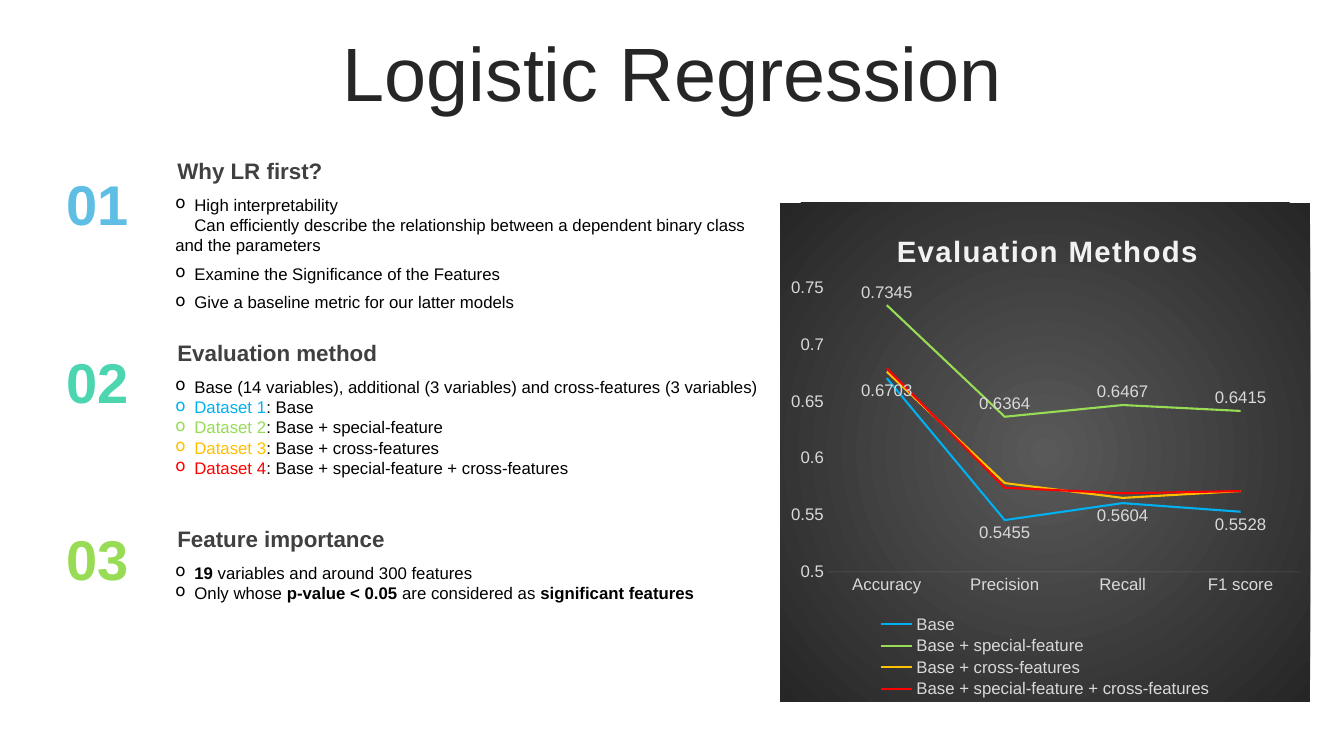
from pptx import Presentation
from pptx.chart.data import CategoryChartData
from pptx.dml.color import RGBColor
from pptx.enum.chart import XL_CHART_TYPE, XL_LABEL_POSITION, XL_LEGEND_POSITION, XL_TICK_MARK
from pptx.enum.text import MSO_ANCHOR, MSO_AUTO_SIZE, PP_ALIGN
from pptx.oxml import parse_xml
from pptx.oxml.ns import nsdecls, qn
from pptx.util import Cm, Pt

BLACK = RGBColor(0x00, 0x00, 0x00)
TITLE_GREY = RGBColor(0x26, 0x26, 0x26)
HEADING_GREY = RGBColor(0x40, 0x40, 0x40)
LIGHT_GREY = RGBColor(0xD9, 0xD9, 0xD9)
PALE = RGBColor(0xF2, 0xF2, 0xF2)
SKY = RGBColor(0x5E, 0xBE, 0xE4)
MINT = RGBColor(0x4C, 0xD6, 0xB0)
BLUE = RGBColor(0x00, 0xB0, 0xF0)
GREEN = RGBColor(0x98, 0xDC, 0x56)
AMBER = RGBColor(0xFF, 0xC0, 0x00)
RED = RGBColor(0xFF, 0x00, 0x00)

HANG = Cm(0.48)
PLAIN = {"color": BLACK}
BOLD = {"color": BLACK, "bold": True}

SECTIONS = [
    ("01", SKY, "Why LR first?", 3.84, 3.25, [
        ([("High interpretability", PLAIN)], {}),
        ([("Can efficiently describe the relationship between a dependent binary class "
           "and the parameters", PLAIN)], {"bullet": False}),
        ([("Examine the Significance of the Features", PLAIN)], {"before": 6}),
        ([("Give a baseline metric for our latter models", PLAIN)], {"before": 6}),
    ]),
    ("02", MINT, "Evaluation method", 8.43, 2.82, [
        ([("Base (14 variables), additional (3 variables) and cross-features (3 variables)",
           PLAIN)], {}),
        ([("Dataset 1", {"color": BLUE}), (": Base", PLAIN)], {}),
        ([("Dataset 2", {"color": GREEN}), (": Base + special-feature", PLAIN)], {}),
        ([("Dataset 3", {"color": AMBER}), (": Base + cross-features", PLAIN)], {}),
        ([("Dataset 4", {"color": RED}),
          (": Base + special-feature + cross-features", PLAIN)], {}),
    ]),
    ("03", GREEN, "Feature importance", 13.11, 1.27, [
        ([("19", BOLD), (" variables and around 300 features", PLAIN)], {}),
        ([("Only whose ", PLAIN), ("p-value < 0.05 ", BOLD),
          ("are considered as ", PLAIN), ("significant features", BOLD)], {}),
    ]),
]

METRICS = ["Accuracy", "Precision", "Recall", "F1 score"]
SERIES = [
    ("Base", BLUE, [0.6703, 0.5455, 0.5604, 0.5528], XL_LABEL_POSITION.BELOW),
    ("Base + special-feature", GREEN, [0.7345, 0.6364, 0.6467, 0.6415], XL_LABEL_POSITION.ABOVE),
    ("Base + cross-features", AMBER, [0.676, 0.578, 0.565, 0.571], None),
    ("Base + special-feature + cross-features", RED, [0.679, 0.574, 0.569, 0.571], None),
]


class SlideBuilder:
    font_name = "Arial"

    def __init__(self, deck):
        self.page = deck.slides.add_slide(deck.slide_layouts[5])

    def assign(self, target, values):
        for name, value in values.items():
            setattr(target, name, value)

    def style(self, font, size, color, bold=False):
        self.assign(font, {"name": self.font_name, "size": Pt(size), "bold": bold})
        font.color.rgb = color

    def title(self, text, left, top, width, height):
        box = self.page.shapes.title
        self.assign(box, {"left": Cm(left), "top": Cm(top),
                          "width": Cm(width), "height": Cm(height)})
        self.assign(box.text_frame, {"text": text, "vertical_anchor": MSO_ANCHOR.MIDDLE,
                                     "auto_size": MSO_AUTO_SIZE.NONE})
        para = box.text_frame.paragraphs[0]
        self.assign(para, {"alignment": PP_ALIGN.CENTER, "line_spacing": 0.9})
        self.style(para.runs[0].font, 54, TITLE_GREY)

    def frame(self, left, top, width, height):
        box = self.page.shapes.add_textbox(Cm(left), Cm(top), Cm(width), Cm(height))
        self.assign(box.text_frame, {"word_wrap": True,
                                     "auto_size": MSO_AUTO_SIZE.SHAPE_TO_FIT_TEXT})
        return box.text_frame

    def label(self, text, area, size, color, alignment=PP_ALIGN.LEFT):
        para = self.frame(*area).paragraphs[0]
        para.alignment = alignment
        span = para.add_run()
        span.text = text
        self.style(span.font, size, color, True)

    def bullets(self, items, area):
        frame = self.frame(*area)
        for index, (spans, options) in enumerate(items):
            para = frame.add_paragraph() if index else frame.paragraphs[0]
            properties = para._p.get_or_add_pPr()
            if options.get("bullet", True):
                properties.set("marL", str(HANG))
                properties.set("indent", str(-HANG))
                properties.append(parse_xml(f'<a:buChar {nsdecls("a")} char="o"/>'))
            else:
                properties.set("indent", str(HANG))
            if "before" in options:
                para.space_before = Pt(options["before"])
            for text, look in spans:
                span = para.add_run()
                span.text = text
                self.style(span.font, 12, **look)

    def place(self, parent, anchor, x, y, size=None, inner=False):
        for layout in parent.findall(qn("c:layout")):
            parent.remove(layout)
        target = '<c:layoutTarget val="inner"/>' if inner else ""
        modes = '<c:xMode val="edge"/><c:yMode val="edge"/>'
        extent = f'<c:w val="{size[0]}"/><c:h val="{size[1]}"/>' if size else ""
        layout = parse_xml(
            f'<c:layout {nsdecls("c")}><c:manualLayout>{target}{modes}'
            f'<c:x val="{x}"/><c:y val="{y}"/>{extent}</c:manualLayout></c:layout>')
        if anchor:
            parent.find(qn(anchor)).addnext(layout)
        else:
            parent.insert(0, layout)

    def chart(self, left, top, width, height):
        data = CategoryChartData()
        data.categories = METRICS
        for name, color, values, position in SERIES:
            data.add_series(name, values)
        chart = self.page.shapes.add_chart(
            XL_CHART_TYPE.LINE, Cm(left), Cm(top), Cm(width), Cm(height), data).chart
        self.style(chart.font, 12, LIGHT_GREY)
        self.chart_background(chart)
        self.chart_title(chart)
        self.chart_axes(chart)
        self.chart_series(chart.plots[0])
        chart.has_legend = True
        self.assign(chart.legend, {"position": XL_LEGEND_POSITION.BOTTOM,
                                   "include_in_layout": False})
        self.style(chart.legend.font, 12, LIGHT_GREY)
        self.place(chart.legend._element, "c:legendPos", 0.18, 0.82, (0.64, 0.18))
        plot_area = chart._chartSpace.chart.plotArea
        self.place(plot_area, None, 0.09, 0.17, (0.89, 0.57), inner=True)

    def chart_background(self, chart):
        chart._chartSpace.chart.addnext(parse_xml(
            f'<c:spPr {nsdecls("c", "a")}><a:gradFill><a:gsLst>'
            '<a:gs pos="0"><a:srgbClr val="595959"/></a:gs>'
            '<a:gs pos="100000"><a:srgbClr val="262626"/></a:gs></a:gsLst>'
            '<a:path path="circle"><a:fillToRect l="50000" t="50000" r="50000" b="50000"/>'
            '</a:path></a:gradFill><a:ln><a:noFill/></a:ln></c:spPr>'))

    def chart_title(self, chart):
        chart.has_title = True
        para = chart.chart_title.text_frame.paragraphs[0]
        span = para.add_run()
        span.text = "Evaluation Methods"
        self.style(span.font, 21, PALE, True)
        span.font._element.set("spc", "100")
        self.place(chart.chart_title._element, "c:tx", 0.21, 0.05)

    def chart_axes(self, chart):
        for axis in (chart.category_axis, chart.value_axis):
            self.assign(axis, {"has_major_gridlines": False,
                               "major_tick_mark": XL_TICK_MARK.NONE,
                               "minor_tick_mark": XL_TICK_MARK.NONE})
            self.style(axis.tick_labels.font, 12, LIGHT_GREY)
        self.assign(chart.value_axis, {"minimum_scale": 0.5, "maximum_scale": 0.75,
                                       "major_unit": 0.05})
        chart.value_axis.format.line.fill.background()
        line = chart.category_axis.format.line
        line.width = Pt(0.75)
        line.color.rgb = PALE
        shade = chart.category_axis._element.xpath("c:spPr//a:srgbClr")[0]
        shade.append(parse_xml(f'<a:alpha {nsdecls("a")} val="10000"/>'))

    def chart_series(self, plot):
        plot.vary_by_categories = False
        for series, (name, color, values, position) in zip(plot.series, SERIES):
            series.smooth = False
            series.format.line.width = Pt(1.5)
            series.format.line.color.rgb = color
            if position is not None:
                self.assign(series.data_labels, {"show_value": True, "position": position})
                self.style(series.data_labels.font, 12, LIGHT_GREY)


def main():
    deck = Presentation()
    deck.slide_width, deck.slide_height = Cm(33.87), Cm(19.05)
    builder = SlideBuilder(deck)
    builder.title("Logistic Regression", 3.12, 0.97, 27.64, 1.96)
    for index, (number, color, heading, top, height, items) in enumerate(SECTIONS):
        builder.label(number, (1.4, 4.14 + 4.48 * index, 2.11, 1.96), 40, color, PP_ALIGN.CENTER)
        builder.bullets(items, (4.17, top + 0.94, 15.5, height))
        builder.label(heading, (4.22, top, 14.76, 0.94), 16, HEADING_GREY)
    builder.chart(19.66, 5.11, 13.36, 12.57)
    deck.save("out.pptx")


if __name__ == "__main__":
    main()
